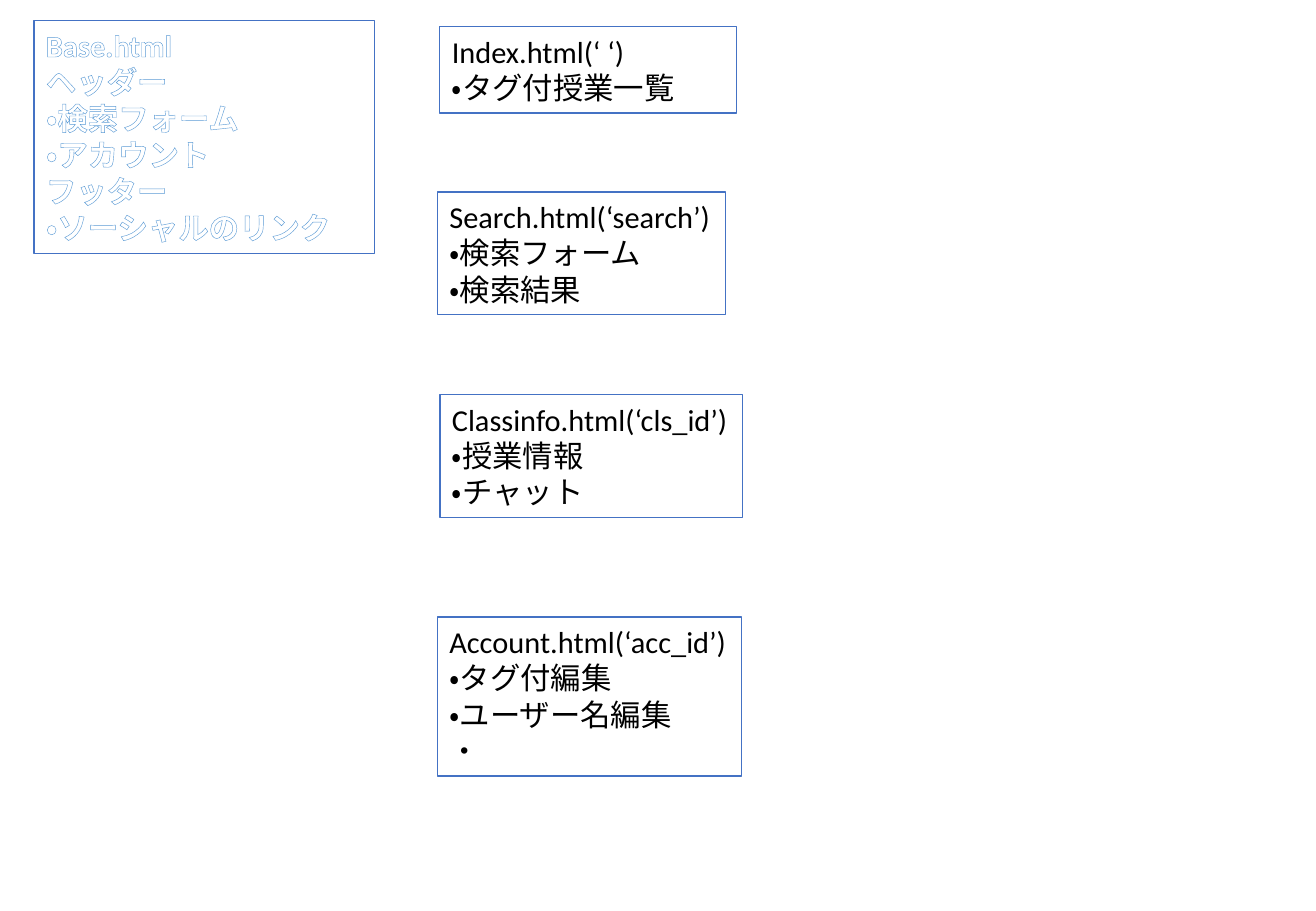
"""Build a slide of page boxes listing the contents of each site template."""
from dataclasses import dataclass

from lxml.etree import SubElement
from pptx import Presentation
from pptx.dml.color import RGBColor
from pptx.enum.lang import MSO_LANGUAGE_ID as Lang
from pptx.enum.text import MSO_AUTO_SIZE as AutoSize
from pptx.oxml.ns import qn
from pptx.slide import Slide
from pptx.text.text import _Run as Run
from pptx.util import Inches, Pt


@dataclass(frozen=True)
class Theme:
    font: str = "Calibri"
    size: float = 18
    text: str = "000000"
    base_text: str = "FFFFFF"
    base_outline: str = "5B9BD5"
    outline_width: float = 0.8
    border: str = "4472C4"
    border_width: float = 0.75


@dataclass(frozen=True)
class PageBox:
    left: float
    top: float
    width: float
    height: float
    lines: tuple[str, ...]
    wrap: bool = False
    outlined: bool = False


THEME = Theme()
PAGES = (
    PageBox(0.28, 0.17, 2.8, 1.92,
            ("Base.html", "ヘッダー", "・検索フォーム", "・アカウント",
             "フッター", "・ソーシャルのリンク"), wrap=True, outlined=True),
    PageBox(3.62, 0.22, 2.44, 0.71,
            ("Index.html(‘ ‘)", "・タグ付授業一覧"), wrap=True),
    PageBox(3.6, 1.58, 2.37, 1.01,
            ("Search.html(‘search’)", "・検索フォーム", "・検索結果")),
    PageBox(3.6, 5.08, 2.5, 1.31,
            ("Account.html(‘acc_id’)", "・タグ付編集", "・ユーザー名編集", "・")),
    PageBox(3.62, 3.25, 2.49, 1.01,
            ("Classinfo.html(‘cls_id’)", "・授業情報", "・チャット")),
)


def outline_run(r: Run) -> None:
    r_pr = r.font._element
    ln = SubElement(r_pr, qn("a:ln"), w=str(Pt(THEME.outline_width)))
    fill = SubElement(ln, qn("a:solidFill"))
    SubElement(fill, qn("a:srgbClr"), val=THEME.base_outline)
    r_pr.insert(0, ln)


def format_run(r: Run, outlined: bool) -> None:
    r.font.name = THEME.font
    r.font.size = Pt(THEME.size)
    r.font.language_id = Lang.JAPANESE
    color = THEME.base_text if outlined else THEME.text
    r.font.color.rgb = RGBColor.from_string(color)
    if outlined:
        r.font.bold = True
        outline_run(r)


def add_page(s: Slide, page: PageBox) -> None:
    sp = s.shapes.add_textbox(Inches(page.left), Inches(page.top),
                              Inches(page.width), Inches(page.height))
    sp.line.color.rgb = RGBColor.from_string(THEME.border)
    sp.line.width = Pt(THEME.border_width)
    tf = sp.text_frame
    tf.word_wrap = page.wrap
    tf.auto_size = AutoSize.SHAPE_TO_FIT_TEXT
    tf.text = "\n".join(page.lines)
    for p in tf.paragraphs:
        for r in p.runs:
            format_run(r, page.outlined)


def main() -> None:
    prs = Presentation()
    prs.slide_width, prs.slide_height = Inches(10.83), Inches(7.5)
    s = prs.slides.add_slide(prs.slide_layouts[6])
    for page in PAGES:
        add_page(s, page)
    prs.save("out.pptx")


main()
